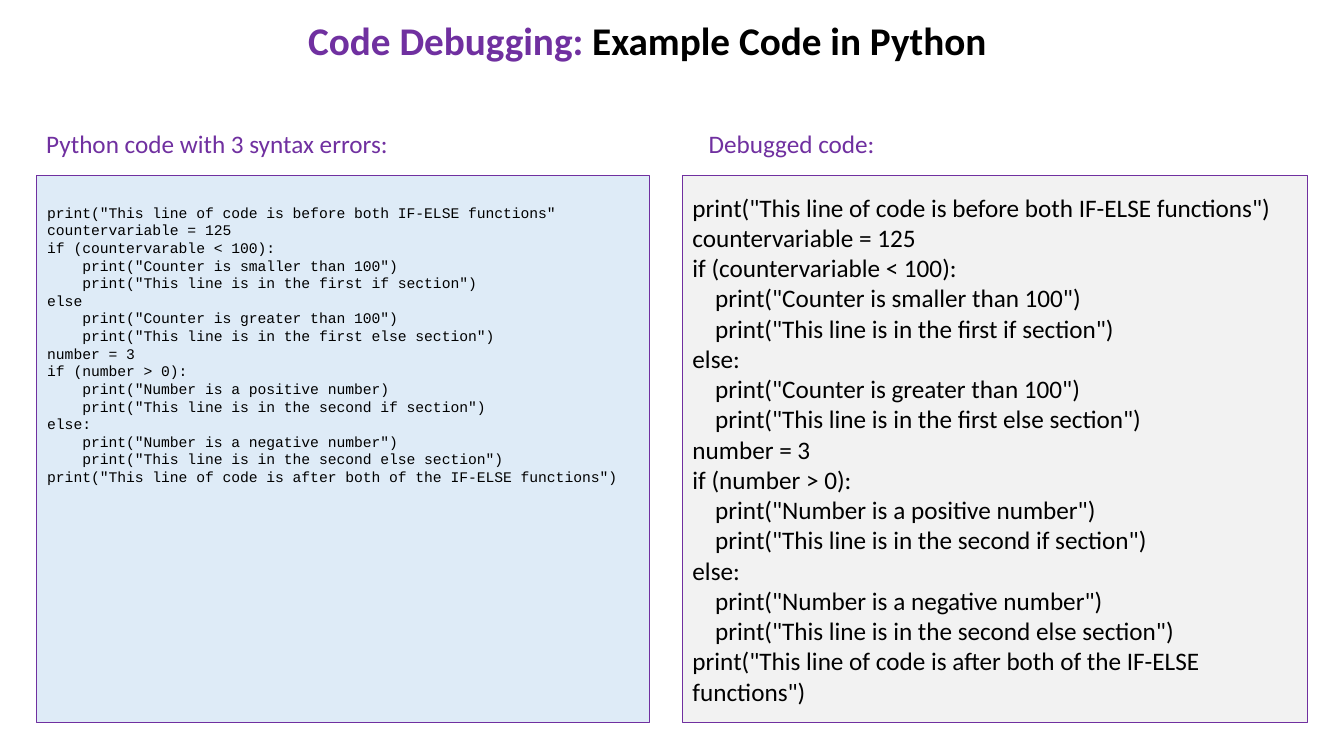
from pptx import Presentation
from pptx.dml.color import RGBColor
from pptx.enum.shapes import MSO_SHAPE as Shape
from pptx.enum.text import MSO_ANCHOR as Anchor, PP_ALIGN as Align
from pptx.util import Inches, Pt

PURPLE = RGBColor(0x70, 0x30, 0xA0)
BLACK = RGBColor(0x00, 0x00, 0x00)
BLUE = RGBColor(0xDE, 0xEB, 0xF7)
GRAY = RGBColor(0xF2, 0xF2, 0xF2)

FIXED = '''print("This line of code is before both IF-ELSE functions")
countervariable = 125
if (countervariable < 100):
    print("Counter is smaller than 100")
    print("This line is in the first if section")
else:
    print("Counter is greater than 100")
    print("This line is in the first else section")
number = 3
if (number > 0):
    print("Number is a positive number")
    print("This line is in the second if section")
else:
    print("Number is a negative number")
    print("This line is in the second else section")
print("This line of code is after both of the IF-ELSE functions")'''.split("\n")

# Faulty lines by their index in the code
FAULTS = {
    0: 'print("This line of code is before both IF-ELSE functions"',
    2: "if (countervarable < 100):",
    5: "else",
    10: '    print("Number is a positive number)',
}
BROKEN = [FAULTS.get(i, line) for i, line in enumerate(FIXED)]

prs = Presentation()
prs.slide_width = Inches(13.33)
prs.slide_height = Inches(7.5)
slide = prs.slides.add_slide(prs.slide_layouts[6])


def write(shape, lines, size, font="Calibri", bold=False, align=Align.LEFT):
    """Fill a shape with lines, each a list of (text, color) runs."""
    frame = shape.text_frame
    frame.word_wrap = True
    for i, runs in enumerate(lines):
        para = frame.paragraphs[0] if i == 0 else frame.add_paragraph()
        para.alignment = align
        for text, color in runs:
            run = para.add_run()
            run.text = text
            run.font.name = font
            run.font.size = Pt(size)
            run.font.bold = bold
            run.font.color.rgb = color


def add_text(left, top, width, height):
    return slide.shapes.add_textbox(
        Inches(left), Inches(top), Inches(width), Inches(height))


# Title
title = [("Code Debugging: ", PURPLE), ("Example Code in Python", BLACK)]
write(add_text(0.92, 0.11, 11, 0.57), [title], 28, bold=True, align=Align.CENTER)

# Headings
for left, width, text in [
    (0.36, 4.19, "Python code with 3 syntax errors:"),
    (6.93, 2.79, "Debugged code:"),
]:
    write(add_text(left, 1.22, width, 0.4), [[(text, PURPLE)]], 18)

# Code panels
panels = []
for left, width, fill in [(0.36, 6.08, BLUE), (6.77, 6.2, GRAY)]:
    panel = slide.shapes.add_shape(
        Shape.RECTANGLE, Inches(left), Inches(1.74), Inches(width), Inches(5.43))
    panel.shadow.inherit = False
    panel.fill.solid()
    panel.fill.fore_color.rgb = fill
    panel.line.color.rgb = PURPLE
    panel.line.width = Pt(1)
    panels.append(panel)

# Code
panels[1].text_frame.vertical_anchor = Anchor.MIDDLE
write(panels[1], [[(line, BLACK)] for line in FIXED], 18)
write(add_text(0.37, 1.97, 6.17, 2.93),
      [[(line, BLACK)] for line in BROKEN], 10.5, "Courier New")

prs.save("out.pptx")
